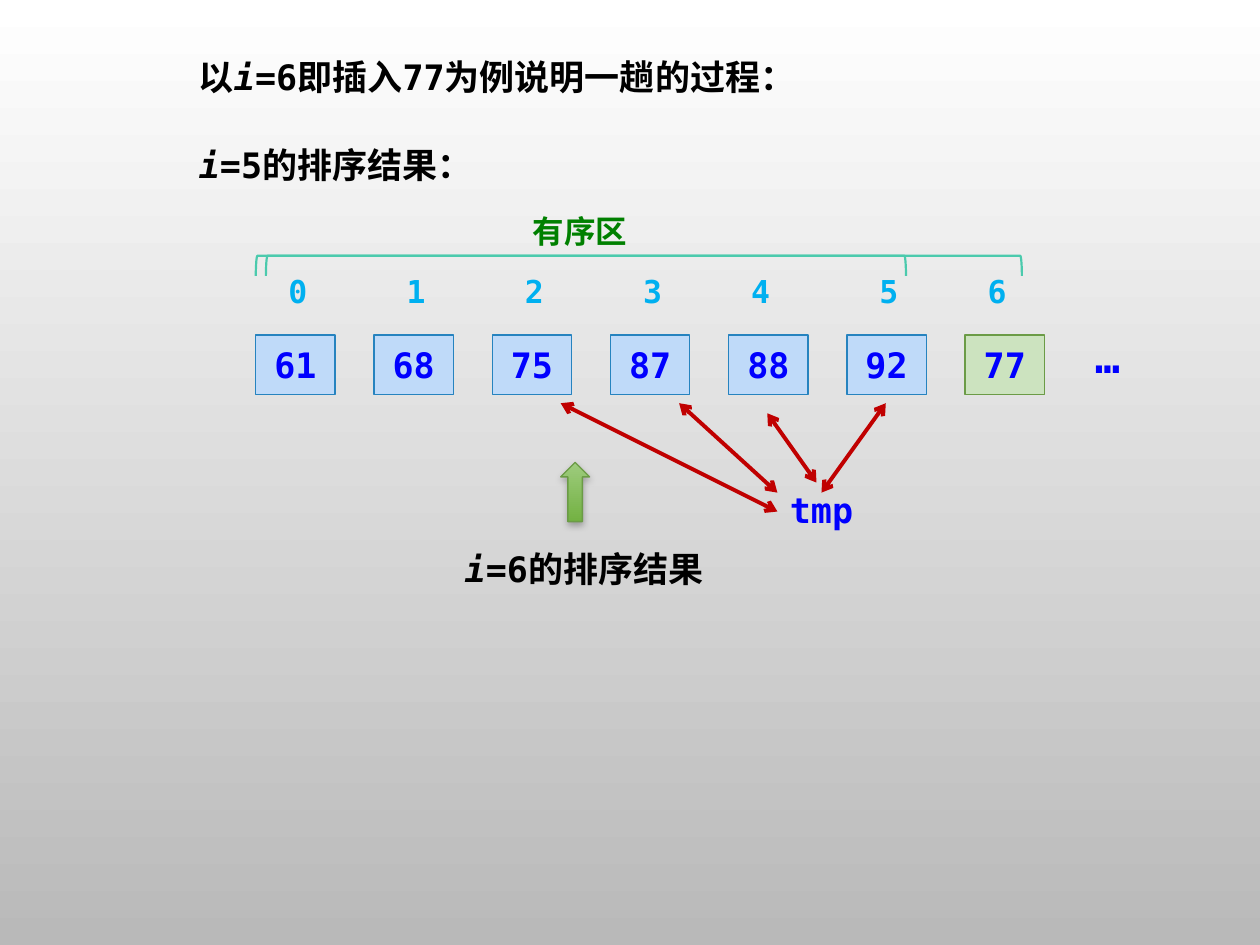
from lxml import etree
from pptx import Presentation
from pptx.dml.color import RGBColor
from pptx.enum import shapes, text
from pptx.oxml.ns import qn
from pptx.util import Inches, Pt

THEME = {
    "mono": "DejaVu Sans Mono", "cjk": "Noto Sans CJK SC",
    "body": 20, "label": 18, "dots": 24,
    "ink": "000000", "value": "0000FF", "index": "00B0F0", "zone": "008000",
    "bracket": "4BCAAD", "link": "C00000", "background": ("FFFFFF", "B9B9B9"),
    "sorted": ("BFDAF9", "2683BF"), "pending": ("CCE3BF", "6B9B46"),
    "arrow": ("9ECC7E", "73B142"),
}

# Content: values, and runs as (text, italic)
SORTED_VALUES = [61, 68, 75, 87, 88, 92]
PENDING_VALUE = 77
INDEX_NUDGE = {4: -0.08, 6: -0.08}
INTRO = [("以", False), ("i", True), ("=6即插入77为例说明一趟的过程：", False)]
BEFORE = [("i", True), ("=5的排序结果：", False)]
AFTER = [("i", True), ("=6的排序结果", False)]

# Layout in inches
FIRST_LEFT, LAST_LEFT = 2.03, 7.66
PITCH = (LAST_LEFT - FIRST_LEFT) / len(SORTED_VALUES)
CELL_TOP, CELL_W, CELL_H = 2.66, 0.63, 0.47
BRACKET_TOP, BRACKET_DEPTH = 2.03, 0.16
BRACKETS = [(2.11, 5.08), (2.03, 6.08)]  # left, span
LINKS = [((7.03, 3.2), (6.52, 3.91)), ((6.09, 3.28), (6.48, 3.83)),
         ((5.39, 3.2), (6.17, 3.91)), ((4.45, 3.2), (6.17, 4.06))]


def color(name):
    return RGBColor.from_string(THEME.get(name, name))


def inches(*lengths):
    return [Inches(length) for length in lengths]


def style(paragraph, size, ink, font="mono"):
    paragraph.font.name = THEME[font]
    paragraph.font.size = Pt(THEME[size])
    paragraph.font.bold = True
    paragraph.font.color.rgb = color(ink)


def add_label(parent, at, runs, size, ink, font="mono"):
    frame = parent.add_textbox(*inches(*at)).text_frame
    frame.word_wrap = True
    frame.auto_size = text.MSO_AUTO_SIZE.SHAPE_TO_FIT_TEXT
    paragraph = frame.paragraphs[0]
    style(paragraph, size, ink, font)
    for words, italic in runs:
        run = paragraph.add_run()
        run.text = words
        if italic:
            run.font.italic = True


def add_outline(parent, kind, at, line, width):
    part = parent.add_shape(kind, *inches(*at))
    part.shadow.inherit = False
    part.line.color.rgb = color(line)
    part.line.width = Pt(width)
    return part


def add_cell(parent, left, value, kind):
    fill, line = THEME[kind]
    cell = add_outline(parent, shapes.MSO_SHAPE.RECTANGLE,
                       (left, CELL_TOP, CELL_W, CELL_H), line, 0.75)
    cell.fill.solid()
    cell.fill.fore_color.rgb = color(fill)
    cell.text_frame.vertical_anchor = text.MSO_ANCHOR.MIDDLE
    paragraph = cell.text_frame.paragraphs[0]
    paragraph.text = str(value)
    paragraph.alignment = text.PP_ALIGN.CENTER
    style(paragraph, "body", "value")


def add_bracket(parent, left, span):
    # A left bracket turned a quarter, so its unrotated box is upright
    at = (left + (span - BRACKET_DEPTH) / 2,
          BRACKET_TOP + (BRACKET_DEPTH - span) / 2, BRACKET_DEPTH, span)
    bracket = add_outline(parent, shapes.MSO_SHAPE.LEFT_BRACKET, at, "bracket", 1.25)
    bracket.rotation = 90
    bracket.fill.background()


def add_link(parent, start, end):
    link = parent.add_connector(shapes.MSO_CONNECTOR.STRAIGHT, *inches(*start, *end))
    link.line.color.rgb = color("link")
    link.line.width = Pt(2.25)
    properties = link._element.spPr
    for tip in ("a:headEnd", "a:tailEnd"):
        etree.SubElement(properties.find(qn("a:ln")), qn(tip), type="arrow")
    etree.SubElement(properties, qn("a:effectLst"))


def fill_down(fill, ends):
    fill.gradient()
    fill.gradient_angle = 270
    for stop, end in zip(fill.gradient_stops, ends):
        stop.color.rgb = color(end)


def add_up_arrow(parent):
    arrow = add_outline(parent, shapes.MSO_SHAPE.UP_ARROW, (4.45, 3.67, 0.23, 0.47),
                        THEME["pending"][1], 0.75)
    fill_down(arrow.fill, THEME["arrow"])
    effects = arrow._element.spPr.find(qn("a:effectLst"))
    shadow = etree.SubElement(effects, qn("a:outerShdw"), blurRad=str(Pt(4)),
                              dist=str(Pt(2)), dir="5400000", rotWithShape="0")
    shade = etree.SubElement(shadow, qn("a:srgbClr"), val=THEME["ink"])
    etree.SubElement(shade, qn("a:alpha"), val="28000")


def main():
    deck = Presentation()
    deck.slide_width, deck.slide_height = inches(10, 7.5)
    slide = deck.slides.add_slide(deck.slide_layouts[6])
    fill_down(slide.background.fill, THEME["background"])
    board = slide.shapes

    # Introduction
    add_label(board, (1.48, 0.39, 5.08, 0.44), INTRO, "body", "ink")
    add_label(board, (1.48, 1.09, 2.5, 0.44), BEFORE, "body", "ink")

    # Array cells with their indices
    for index, value in enumerate(SORTED_VALUES + [PENDING_VALUE]):
        left = FIRST_LEFT + index * PITCH
        add_cell(board, left, value, "sorted" if index < len(SORTED_VALUES) else "pending")
        add_label(board, (left + 0.16 + INDEX_NUDGE.get(index, 0), 2.11, 0.31, 0.4),
                  [(str(index), False)], "label", "index")
    add_label(board, (8.59, 2.58, 1.09, 0.5), [("…", False)], "dots", "value")

    # Ordered zone
    for left, span in BRACKETS:
        add_bracket(board, left, span)
    add_label(board, (4.13, 1.63, 1.26, 0.4), [("有序区", False)], "label", "zone", "cjk")

    # Temporary variable and its moves
    add_label(board, (6.17, 3.83, 0.72, 0.44), [("tmp", False)], "body", "value")
    for start, end in LINKS:
        add_link(board, start, end)

    # Result of the pass
    result = board.add_group_shape().shapes
    add_label(result, (3.59, 4.3, 2.27, 0.44), AFTER, "body", "ink")
    add_up_arrow(result)

    deck.save("out.pptx")


if __name__ == "__main__":
    main()
